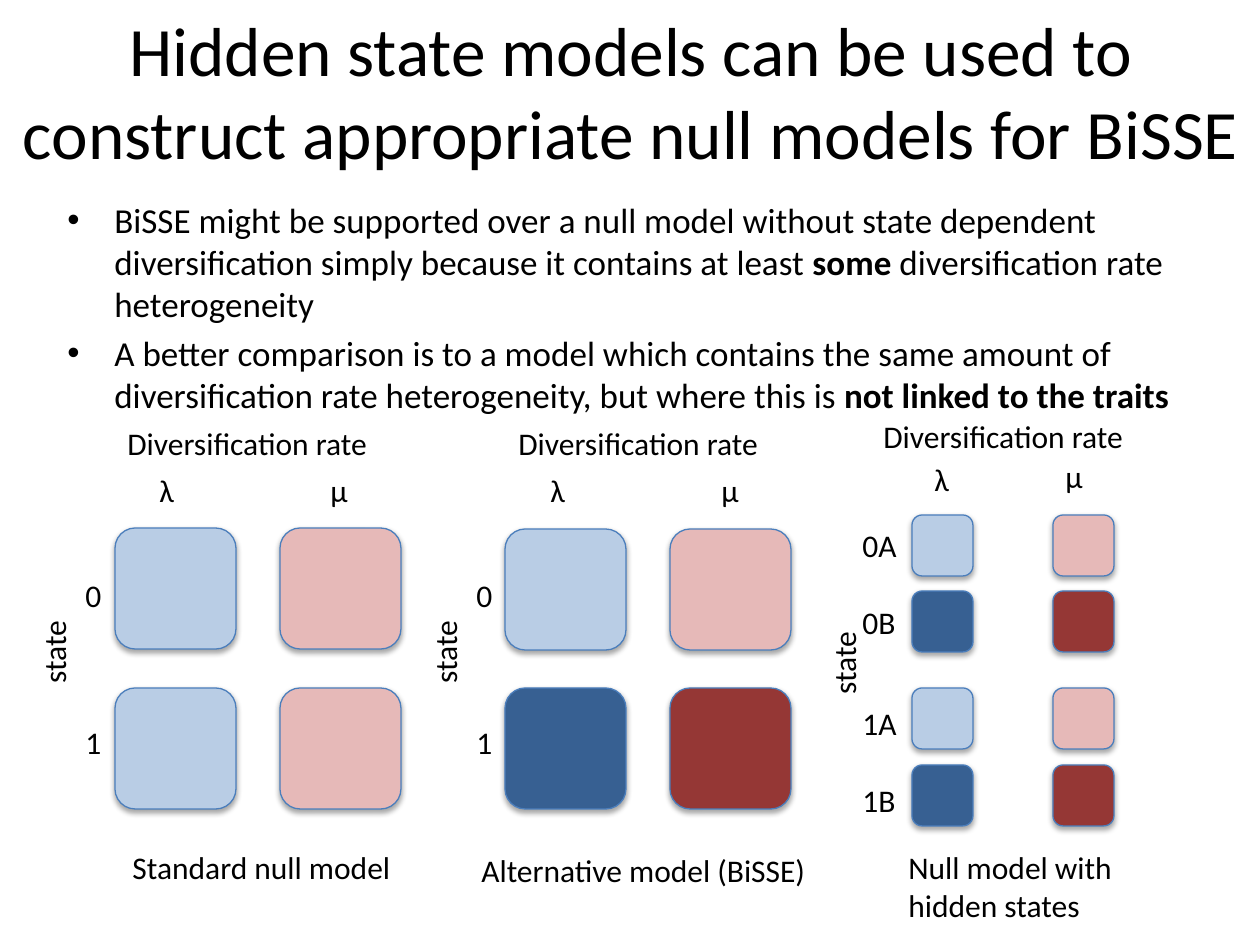
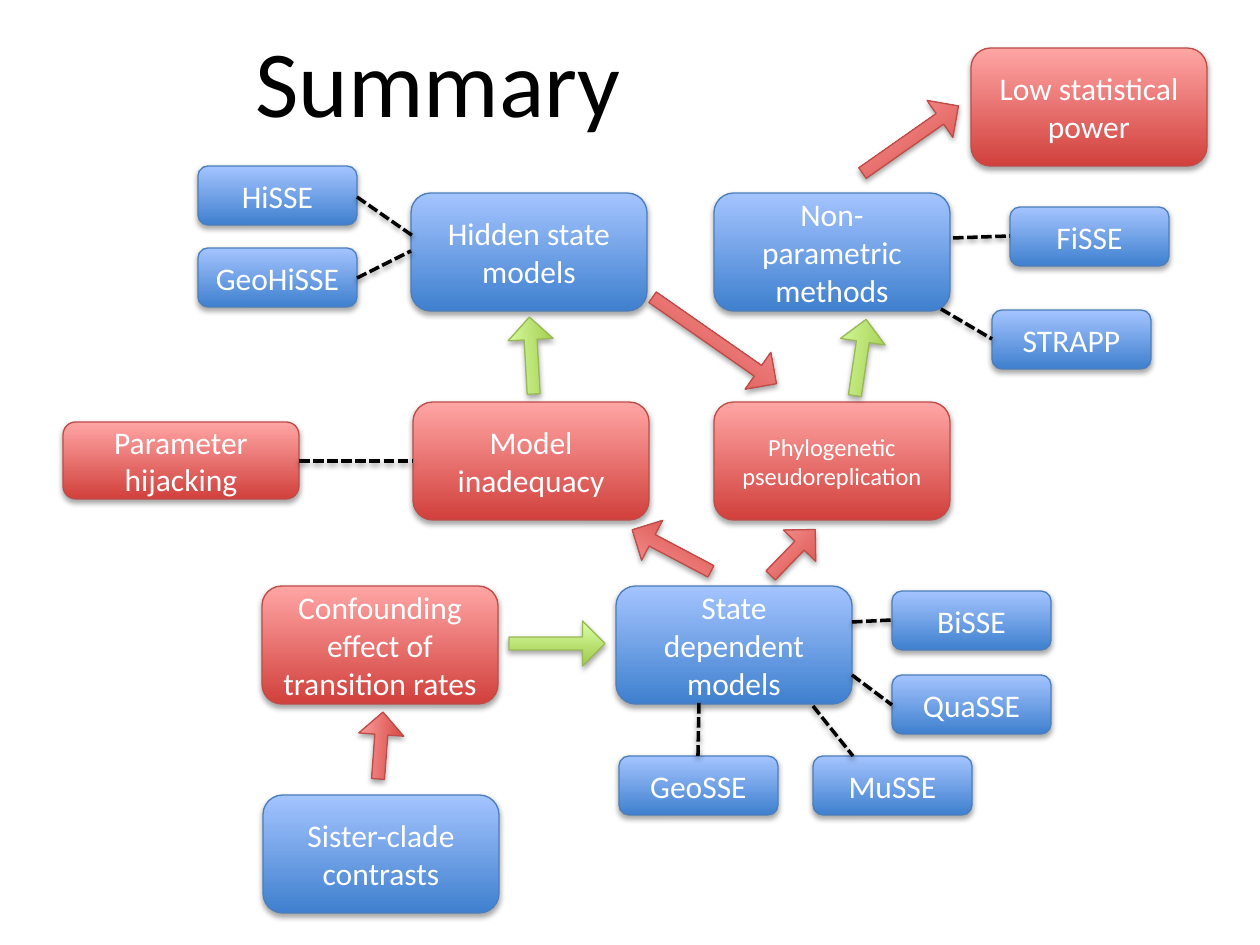
from dataclasses import dataclass
from lxml.etree import SubElement
from pptx import Presentation
from pptx.dml.color import RGBColor
from pptx.enum.dml import MSO_LINE
from pptx.enum.shapes import MSO_CONNECTOR, MSO_SHAPE, MSO_SHAPE_TYPE
from pptx.enum.text import MSO_ANCHOR, MSO_AUTO_SIZE, PP_ALIGN
from pptx.oxml import parse_xml
from pptx.oxml.ns import qn
from pptx.util import Emu, Pt


@dataclass(frozen=True)
class Theme:
    font: str = "Calibri"
    ink: str = "000000"
    white: str = "FFFFFF"
    edge: str = "4B7EBC"
    pale: tuple = ("B9CDE5", "E6B9B8")
    deep: tuple = ("376092", "953735")
    blue: tuple = ("3F80CE", "A4C4FF", "4B7EBC")
    red: tuple = ("D1403C", "FFA6A5", "BF4C48")
    green: tuple = ("A0CA4A", "DAFFA5", "98B955")
    title: float = 39.6
    large: int = 54
    body: int = 20
    label: int = 18
    small: int = 14


look = Theme()
scale = 914400 / 126
shadow = (
    '<a:effectLst xmlns:a="http://schemas.openxmlformats.org/drawingml/2006/main">'
    '<a:outerShdw blurRad="40000" dist="{}" dir="5400000" rotWithShape="0">'
    '<a:srgbClr val="000000"><a:alpha val="{}"/></a:srgbClr>'
    "</a:outerShdw></a:effectLst>"
)


def px(*sizes):
    return [Emu(round(size * scale)) for size in sizes]


def write(frame, text, size, color=look.ink, align=PP_ALIGN.LEFT):
    line = frame.paragraphs[0]
    line.text = text
    line.alignment = align
    line.font.name = look.font
    line.font.size = Pt(size)
    line.font.color.rgb = RGBColor.from_string(color)


deck = Presentation()
deck.slide_width, deck.slide_height = px(1260, 945)
blank = deck.slide_layouts[6]
models = deck.slides.add_slide(blank)
summary = deck.slides.add_slide(blank)

titles = [
    (models, "Hidden state models can be used to construct appropriate null models for BiSSE",
     (1, 11, 1260, 158), look.title),
    (summary, "Summary", (63, 1, 750, 158), look.large),
]
for slide, text, spot, size in titles:
    frame = slide.shapes.add_textbox(*px(*spot)).text_frame
    frame.word_wrap = True
    frame.vertical_anchor = MSO_ANCHOR.MIDDLE
    write(frame, text, size, align=PP_ALIGN.CENTER)

points = [
    [("BiSSE might be supported over a null model without state dependent "
      "diversification simply because it contains at least ", False),
     ("some ", True), ("diversification rate heterogeneity", False)],
    [("A better comparison is to a model which contains the same amount of "
      "diversification rate heterogeneity, but where this is ", False),
     ("not linked to the traits", True)],
]
frame = models.shapes.add_textbox(*px(55, 192, 1134, 198)).text_frame
frame.word_wrap = True
for rank, runs in enumerate(points):
    point = frame.add_paragraph() if rank else frame.paragraphs[0]
    props = point._p.get_or_add_pPr()
    indent = px(47)[0]
    props.set("marL", str(indent))
    props.set("indent", str(-indent))
    if rank:
        point.space_before = Pt(4)
    SubElement(props, qn("a:buFont"), typeface="Arial")
    SubElement(props, qn("a:buChar"), char="•")
    point.font.name = look.font
    point.font.size = Pt(look.body)
    point.font.color.rgb = RGBColor.from_string(look.ink)
    for text, bold in runs:
        run = point.add_run()
        run.text = text
        run.font.bold = bold

grids = [
    ((115, 280), (528, 688), 121, (look.pale, look.pale)),
    ((505, 670), (529, 688), 121, (look.pale, look.deep)),
    ((912, 1053), (515, 591, 688, 765), 61, (look.pale, look.deep) * 2),
]
for lefts, tops, side, fills in grids:
    for top, pair in zip(tops, fills):
        for left, color in zip(lefts, pair):
            cell = models.shapes.add_shape(
                MSO_SHAPE.ROUNDED_RECTANGLE, *px(left, top, side, side))
            cell.fill.solid()
            cell.fill.fore_color.rgb = RGBColor.from_string(color)
            cell.line.color.rgb = RGBColor.from_string(look.edge)
            cell.line.width = Pt(0.75)

labels = [
    ("Standard null model", 120, 842, 286),
    ("Alternative model (BiSSE)", 469, 845, 354),
    ("Null model with hidden states", 896, 842, 268),
    ("Diversification rate", 871, 411, 270),
    ("λ", 922, 454, 40),
    ("μ", 1053, 451, 43),
    ("0A", 850, 520, 60),
    ("0B", 850, 597, 60),
    ("1A", 850, 698, 60),
    ("1B", 850, 775, 60),
    ("state", 798, 636, 91),
]
for shift in (0, 391):
    labels += [
        ("Diversification rate", 115 + shift, 418, 270),
        ("λ", 147 + shift, 465, 40),
        ("μ", 318 + shift, 465, 43),
        ("0", 73 + shift, 570, 42),
        ("1", 73 + shift, 717, 42),
        ("state", 8 + shift, 625, 91),
    ]
for text, left, top, width in labels:
    label = models.shapes.add_textbox(*px(left, top, width, 50))
    label.text_frame.word_wrap = text.endswith("states")
    label.text_frame.auto_size = MSO_AUTO_SIZE.SHAPE_TO_FIT_TEXT
    write(label.text_frame, text, look.label)
    if text == "state":
        label.rotation = 270

big, flat, tag = (236, 118), (236, 77), (159, 59)
nodes = [
    ("Sister-clade contrasts", 263, 795, big, look.blue),
    ("Confounding effect of transition rates", 262, 586, big, look.red),
    ("State dependent models", 616, 586, big, look.blue),
    ("Model inadequacy", 413, 402, big, look.red),
    ("Phylogenetic pseudoreplication", 714, 402, big, look.red),
    ("Hidden state models", 411, 193, big, look.blue),
    ("Non-parametric methods", 714, 193, big, look.blue),
    ("Low statistical power", 971, 48, big, look.red),
    ("Parameter hijacking", 63, 422, flat, look.red),
    ("BiSSE", 892, 591, tag, look.blue),
    ("QuaSSE", 892, 675, tag, look.blue),
    ("GeoSSE", 619, 756, tag, look.blue),
    ("MuSSE", 813, 756, tag, look.blue),
    ("FiSSE", 1010, 207, tag, look.blue),
    ("STRAPP", 992, 310, tag, look.blue),
    ("HiSSE", 198, 166, tag, look.blue),
    ("GeoHiSSE", 198, 248, tag, look.blue),
]
arrows = [
    (639, 318, 151, 34.9, look.red),
    (822, 335, 77, 278.4, look.green),
    (493, 333, 77, 266.8, look.green),
    (627, 528, 89, 207.8, look.red),
    (761, 530, 64, 314.1, look.red),
    (852, 117, 117, 325, look.red),
    (509, 621, 96, 0, look.green),
    (347, 723, 67, 274.2, look.red),
]
parts = []
for text, left, top, size, tone in nodes:
    node = summary.shapes.add_shape(
        MSO_SHAPE.ROUNDED_RECTANGLE, *px(left, top, *size))
    node.text_frame.word_wrap = True
    node.text_frame.vertical_anchor = MSO_ANCHOR.MIDDLE
    points = look.small if text.startswith("Phylo") else look.label
    write(node.text_frame, text, points, look.white, PP_ALIGN.CENTER)
    parts.append((node, tone))
for left, top, width, turn, tone in arrows:
    arrow = summary.shapes.add_shape(
        MSO_SHAPE.RIGHT_ARROW, *px(left, top, width, 45))
    arrow.adjustments[0] = 0.286
    arrow.rotation = turn
    parts.append((arrow, tone))
for part, (low, high, edge) in parts:
    part.fill.gradient()
    part.fill.gradient_angle = 90
    for stop, color in zip(part.fill.gradient_stops, (low, high)):
        stop.color.rgb = RGBColor.from_string(color)
    part.line.color.rgb = RGBColor.from_string(edge)
    part.line.width = Pt(0.75)

links = [
    (299, 461, 413, 461),
    (852, 622, 892, 620),
    (852, 675, 892, 705),
    (813, 706, 853, 756),
    (699, 703, 698, 756),
    (953, 238, 1010, 236),
    (941, 309, 992, 339),
    (357, 197, 413, 236),
    (357, 278, 411, 251),
]
for ends in links:
    link = summary.shapes.add_connector(MSO_CONNECTOR.STRAIGHT, *px(*ends))
    link.line.color.rgb = RGBColor.from_string(look.ink)
    link.line.width = Pt(2)
    link.line.dash_style = MSO_LINE.SQUARE_DOT

for slide in deck.slides:
    for item in slide.shapes:
        if item.shape_type != MSO_SHAPE_TYPE.TEXT_BOX:
            solid = item.shape_type == MSO_SHAPE_TYPE.AUTO_SHAPE
            drop = (23000, 35000) if solid else (20000, 38000)
            item._element.spPr.append(parse_xml(shadow.format(*drop)))

deck.save("out.pptx")
